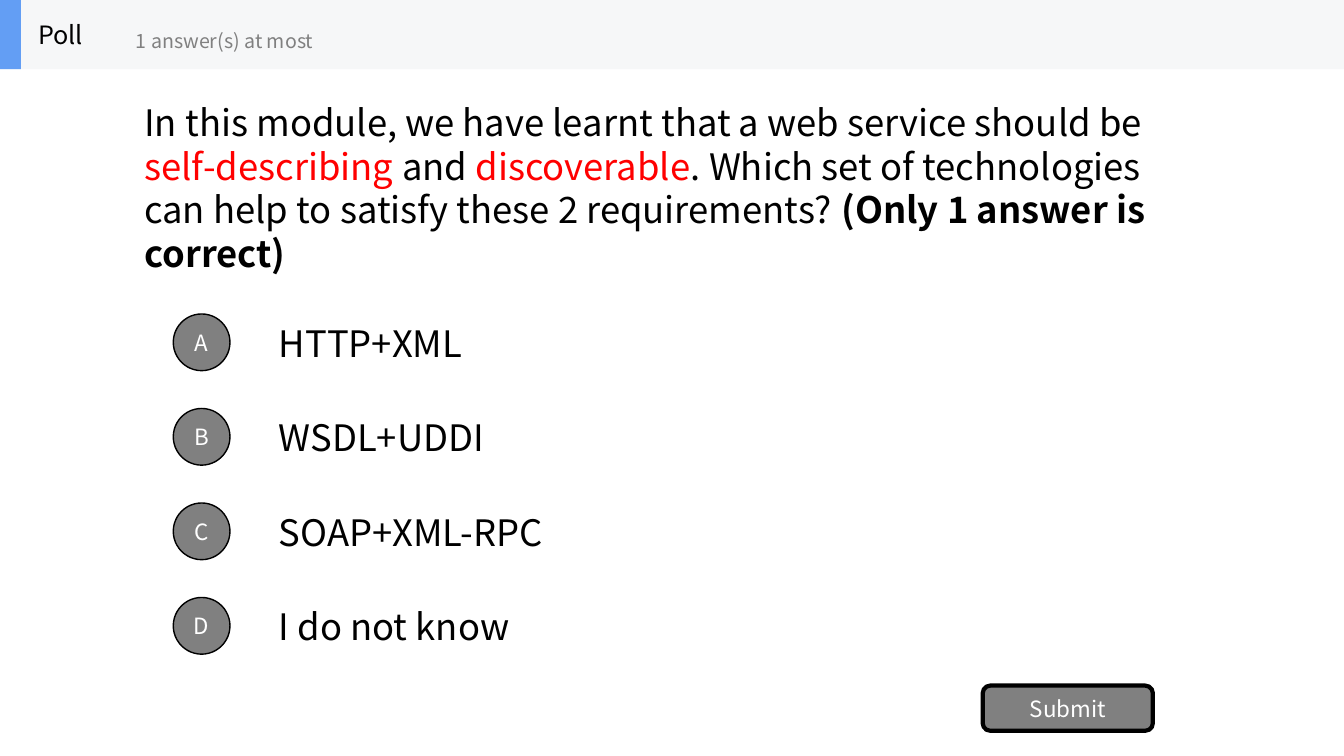
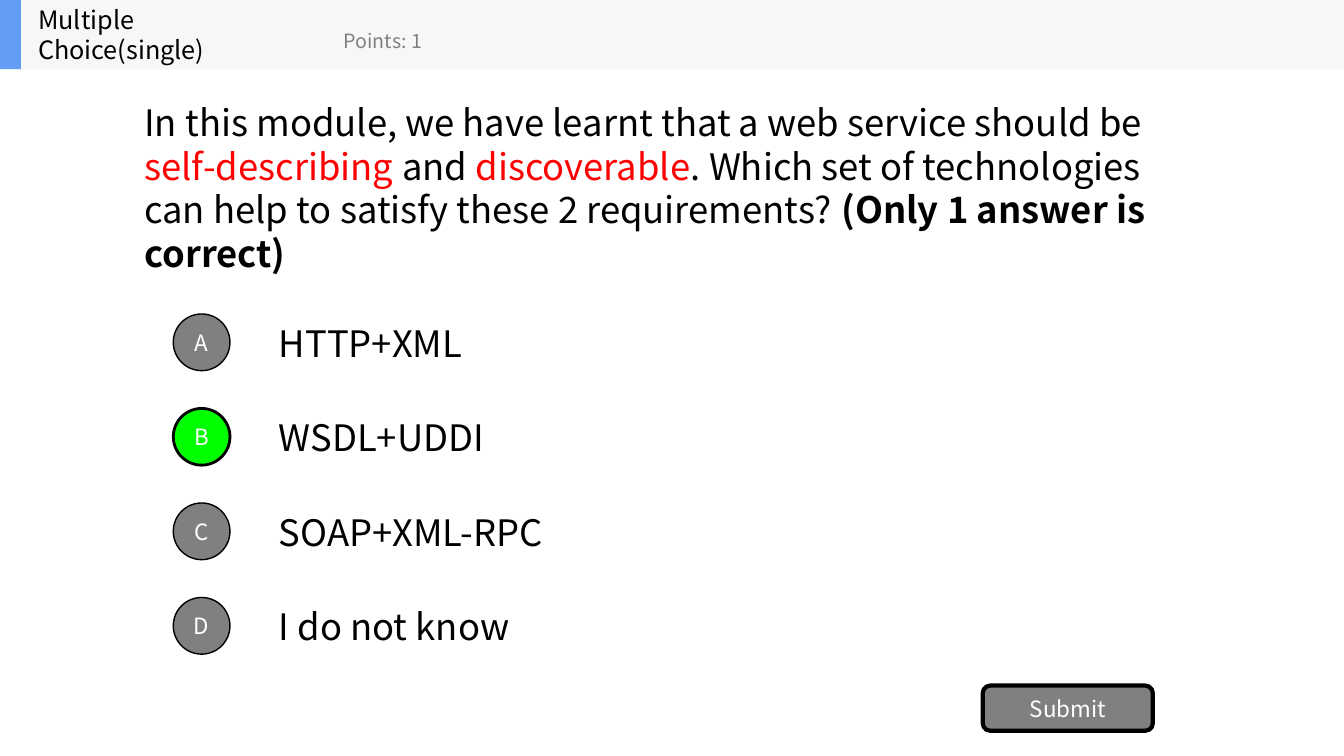
"""Build two quiz slides: a poll and a single-choice question with its answer marked."""
from pptx import Presentation
from pptx.dml.color import RGBColor
from pptx.enum.shapes import MSO_SHAPE as SHAPE
from pptx.enum.text import MSO_ANCHOR as ANCHOR, PP_ALIGN as ALIGN
from pptx.util import Pt

PX = 9525
FONT = "Noto Sans CJK SC"
BLACK = RGBColor(0x00, 0x00, 0x00)
WHITE = RGBColor(0xFF, 0xFF, 0xFF)
GRAY = RGBColor(0x80, 0x80, 0x80)
RED = RGBColor(0xFF, 0x00, 0x00)
GREEN = RGBColor(0x00, 0xFF, 0x00)
BAND = RGBColor(0xF6, 0xF7, 0xF8)
ACCENT = RGBColor(0x63, 0x9E, 0xF4)

BAND_H = 66
OPTION_TOP, OPTION_H, OPTION_STEP = 293, 67, 90
BADGE = 54

QUESTION = [
    ("In this module, we have learnt that a web service should be ", BLACK, False),
    ("self-describing", RED, False),
    (" and ", BLACK, False),
    ("discoverable", RED, False),
    (". Which set of technologies can help to satisfy these 2 requirements? ", BLACK, False),
    ("(Only 1 answer is correct)", BLACK, True),
]
OPTIONS = ["HTTP+XML", "WSDL+UDDI", "SOAP+XML-RPC", "I do not know"]
SLIDES = [
    ("Poll", "1 answer(s) at most", 120, None),
    ("Multiple Choice(single)", "Points: 1", 318, "B"),
]


def add_text(sp, text, size=26, color=BLACK, align=ALIGN.LEFT, wrap=True):
    tf = sp.text_frame
    tf.word_wrap = wrap
    tf.vertical_anchor = ANCHOR.MIDDLE
    p = tf.paragraphs[0]
    p.alignment = align
    runs = [(text, color, False)] if isinstance(text, str) else text
    for words, run_color, bold in runs:
        r = p.add_run()
        r.text = words
        r.font.name = FONT
        r.font.size = Pt(size)
        r.font.bold = bold
        r.font.color.rgb = run_color


def add_box(shapes, x, y, w, h, kind=None, fill=None, line=0):
    at = [v * PX for v in (x, y, w, h)]
    if kind is None:
        return shapes.add_textbox(*at)
    sp = shapes.add_shape(kind, *at)
    sp.shadow.inherit = False
    sp.fill.solid()
    sp.fill.fore_color.rgb = fill
    if line:
        sp.line.color.rgb = BLACK
        sp.line.width = Pt(line)
    else:
        sp.line.fill.background()
    return sp


prs = Presentation()
prs.slide_width, prs.slide_height = 1280 * PX, 720 * PX

for title, hint, hint_x, answer in SLIDES:
    s = prs.slides.add_slide(prs.slide_layouts[6])
    add_text(add_box(s.shapes, 128, BAND_H, 1024, 225), QUESTION)

    for i, option in enumerate(OPTIONS):
        y = OPTION_TOP + i * OPTION_STEP
        add_text(add_box(s.shapes, 256, y, 896, OPTION_H), option)

    for i, letter in enumerate("ABCD"):
        y = OPTION_TOP + i * OPTION_STEP + (OPTION_H - BADGE) // 2
        fill, line = (GREEN, 2) if letter == answer else (GRAY, 1)
        badge = add_box(s.shapes, 165, y, BADGE, BADGE, SHAPE.OVAL, fill, line)
        add_text(badge, letter, size=16, color=WHITE, align=ALIGN.CENTER)

    button = add_box(s.shapes, 936, 653, 162, 43, SHAPE.ROUNDED_RECTANGLE, GRAY, 3)
    add_text(button, "Submit", size=16, color=WHITE, align=ALIGN.CENTER)

    header = s.shapes.add_group_shape().shapes
    add_box(header, 0, 0, 1280, BAND_H, SHAPE.RECTANGLE, BAND)
    add_box(header, 0, 0, 20, BAND_H, SHAPE.RECTANGLE, ACCENT)
    add_text(add_box(header, 27, 0, 200, BAND_H), title, size=18, wrap=False)
    add_text(add_box(header, hint_x, 12, 240, 54), hint, size=14, color=GRAY, wrap=False)

prs.save("out.pptx")
